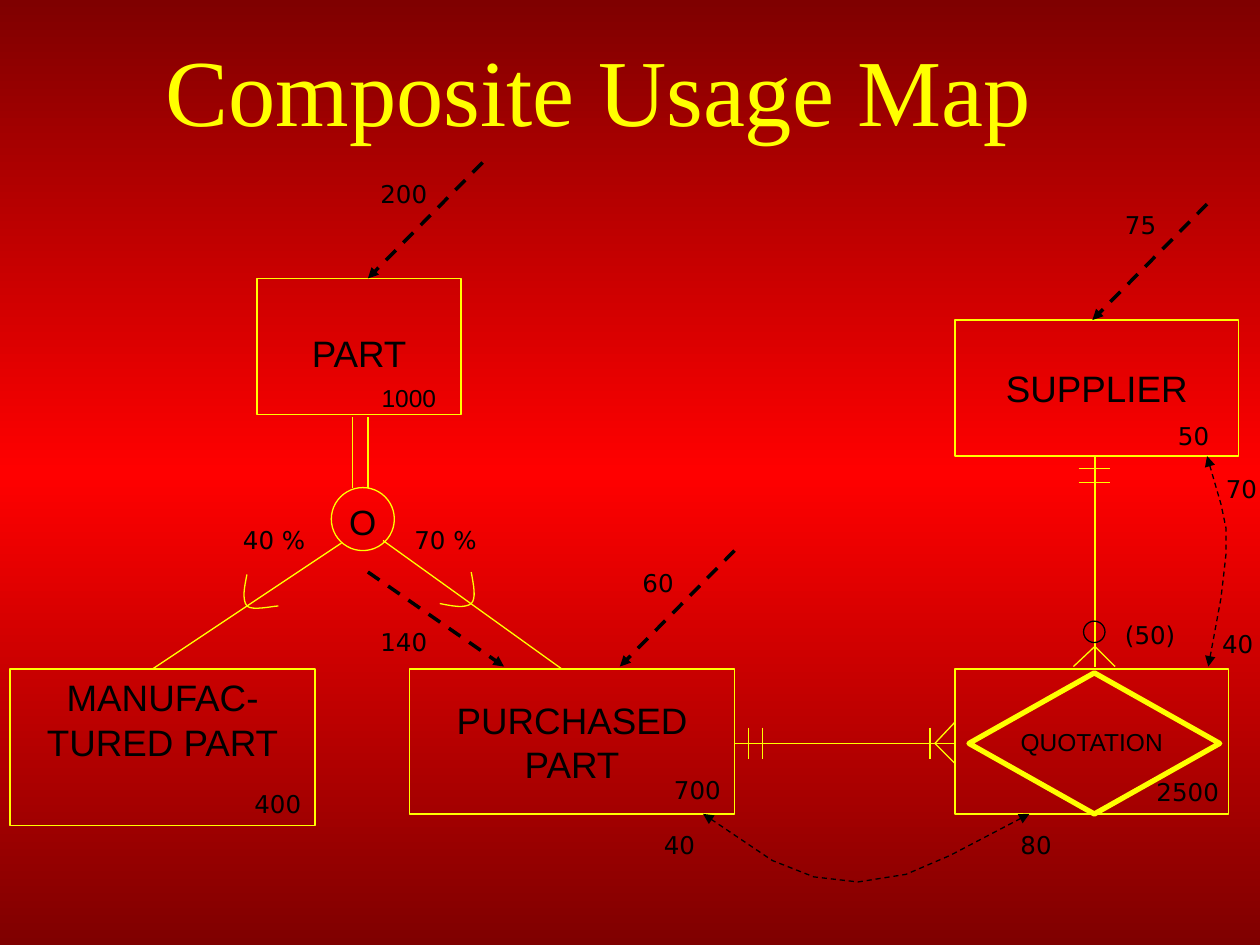
import copy
from dataclasses import dataclass

import pptx
import pptx.dml.color
import pptx.enum.dml
import pptx.enum.shapes
import pptx.enum.text
import pptx.oxml
import pptx.oxml.ns
import pptx.util

YELLOW, BLACK, RED, MAROON = "FFFF00", "000000", "FF0000", "7F0000"
COLUMNS, ROWS = 100, 75
KINDS = pptx.enum.shapes.MSO_SHAPE
ALIGN = pptx.enum.text.PP_ALIGN
ANCHOR = pptx.enum.text.MSO_ANCHOR
Point = tuple[float, float]

deck = pptx.Presentation()
deck.slide_width = pptx.util.Inches(10)
deck.slide_height = pptx.util.Inches(7.5)
page = deck.slides.add_slide(deck.slide_layouts[6])


@dataclass
class Stroke:
    color: str = YELLOW
    width: float = 0.75
    dashed: bool = False
    ends: tuple[str, ...] = ()


@dataclass
class Area:
    left: float
    top: float
    width: float
    height: float


@dataclass
class Entity:
    name: str
    area: Area
    anchor: ANCHOR = ANCHOR.MIDDLE
    top_inset: float = 0.5


@dataclass
class Count:
    text: str
    left: float
    top: float
    font: str = "DejaVu Sans"


RELATION = Stroke()
ACCESS = Stroke(BLACK, 2, True, ("tailEnd",))
NAVIGATION = Stroke(BLACK, 0.75, True, ("headEnd", "tailEnd"))


def rgb(color: str) -> pptx.dml.color.RGBColor:
    return pptx.dml.color.RGBColor.from_string(color)


def col(value: float) -> int:
    return round(value * deck.slide_width / COLUMNS)


def row(value: float) -> int:
    return round(value * deck.slide_height / ROWS)


def place(area: Area) -> tuple[int, int, int, int]:
    return col(area.left), row(area.top), col(area.width), row(area.height)


def apply_stroke(shape, stroke: Stroke) -> None:
    shape.line.color.rgb = rgb(stroke.color)
    shape.line.width = pptx.util.Pt(stroke.width)
    if stroke.dashed:
        shape.line.dash_style = pptx.enum.dml.MSO_LINE.DASH
    outline = shape._element.spPr.find(pptx.oxml.ns.qn("a:ln"))
    for end in stroke.ends:
        arrow = pptx.oxml.parse_xml(
            f'<a:{end} {pptx.oxml.ns.nsdecls("a")} type="triangle"/>')
        outline.append(arrow)


def draw_line(start: Point, end: Point, stroke: Stroke = RELATION) -> None:
    line = page.shapes.add_connector(
        pptx.enum.shapes.MSO_CONNECTOR.STRAIGHT,
        col(start[0]), row(start[1]), col(end[0]), row(end[1]))
    apply_stroke(line, stroke)
    line._element.spPr.append(pptx.oxml.parse_xml(
        f'<a:effectLst {pptx.oxml.ns.nsdecls("a")}/>'))


def draw_path(points: list[Point], stroke: Stroke = RELATION) -> None:
    corners = [(col(x), row(y)) for x, y in points]
    builder = page.shapes.build_freeform(*corners[0])
    builder.add_line_segments(corners[1:], close=False)
    outline = builder.convert_to_shape()
    outline.fill.background()
    outline.shadow.inherit = False
    apply_stroke(outline, stroke)


def curve(points: list[Point], steps: int = 8) -> list[Point]:
    """Sample joined cubic curves; every third point lies on the curve."""
    result = [points[0]]
    for first in range(0, len(points) - 1, 3):
        a, b, c, d = points[first:first + 4]
        for step in range(1, steps + 1):
            t = step / steps
            weights = (1 - t) ** 3, 3 * t * (1 - t) ** 2, 3 * t * t * (1 - t), t ** 3
            result.append(tuple(
                sum(w * p[axis] for w, p in zip(weights, (a, b, c, d)))
                for axis in (0, 1)))
    return result


def draw_shape(kind: KINDS, area: Area, stroke: Stroke = RELATION):
    shape = page.shapes.add_shape(kind, *place(area))
    shape.fill.background()
    shape.shadow.inherit = False
    apply_stroke(shape, stroke)
    return shape


def write(shape, text: str, size: float, font: str = "Arial", color: str = BLACK,
          align: ALIGN = ALIGN.CENTER, anchor: ANCHOR = ANCHOR.TOP) -> None:
    frame = shape.text_frame
    frame.word_wrap = True
    frame.vertical_anchor = anchor
    para = frame.paragraphs[0]
    para.text = text
    para.alignment = align
    para.font.size = pptx.util.Pt(size)
    para.font.name = font
    para.font.color.rgb = rgb(color)


def add_label(area: Area, text: str, size: float, **style) -> None:
    write(page.shapes.add_textbox(*place(area)), text, size, **style)


# Background: dark at both edges, bright in the middle
fill = page.background.fill
fill.gradient()
fill.gradient_angle = 90
stop_list = page._element.find(".//" + pptx.oxml.ns.qn("a:gsLst"))
stop_list.append(copy.deepcopy(stop_list[0]))
for stop, position, color in zip(fill.gradient_stops, (0, 0.5, 1), (MAROON, RED, MAROON)):
    stop.position = position
    stop.color.rgb = rgb(color)

add_label(Area(0, 0.8, 95, 12.5), "Composite Usage Map", 54,
          font="Times New Roman", color=YELLOW, anchor=ANCHOR.MIDDLE)

# Entities
for entity in (
    Entity("PART", Area(20.4, 22.1, 16.2, 10.8), top_inset=1.5),
    Entity("MANUFAC-TURED PART", Area(0.8, 53.1, 24.2, 12.4), ANCHOR.TOP),
    Entity("PURCHASED PART", Area(32.5, 53.1, 25.8, 11.5)),
    Entity("SUPPLIER", Area(75.8, 25.4, 22.5, 10.8)),
):
    box = draw_shape(KINDS.RECTANGLE, entity.area)
    box.text_frame.margin_top = row(entity.top_inset)
    write(box, entity.name, 21, anchor=entity.anchor)

# Associative entity
draw_shape(KINDS.RECTANGLE, Area(75.8, 53.1, 21.7, 11.5))
draw_shape(KINDS.DIAMOND, Area(76.9, 53.4, 19.9, 11.2), Stroke(width=3))
add_label(Area(75.8, 57.2, 21.7, 3.4), "QUOTATION", 14)

# Subtypes of PART
draw_shape(KINDS.OVAL, Area(26.3, 38.7, 5, 5))
add_label(Area(26.6, 39.2, 4.4, 4.4), "O", 20)
for x in (28, 29.2):
    draw_line((x, 33.1), (x, 38.7))
draw_line((27.1, 43.1), (12.1, 53.1))
draw_line((30.4, 42.9), (44.6, 53.1))
draw_path(curve([(19.6, 45.6), (19.4, 46.6), (19.2, 47.6), (19.6, 48.1),
                 (20, 48.5), (21.7, 48.1), (22.1, 48.1)]))
draw_path(curve([(37.4, 45.4), (37.6, 46.5), (37.8, 47.5), (37.4, 47.9),
                 (36.9, 48.3), (35.9, 48.1), (34.9, 47.9)]))

# PURCHASED PART to QUOTATION: two bars, then a bar and a crow's foot
draw_line((75.8, 59), (58.3, 59))
for y in (57.3, 60.6):
    draw_line((75.8, y), (74.2, 59))
for x in (59.4, 60.5, 73.8):
    draw_line((x, 57.75), (x, 60.25))

# SUPPLIER to QUOTATION: two bars, then a ring and a crow's foot
draw_line((86.9, 36.2), (86.9, 52.9))
for x in (85.2, 88.5):
    draw_line((x, 52.9), (86.9, 51.3))
for y in (37.2, 38.3):
    draw_line((85.6, y), (88.1, y))
draw_shape(KINDS.OVAL, Area(86, 49.3, 1.7, 1.7), Stroke(BLACK))

# Access arrows
for x, y in ((29.2, 22.1), (49.2, 52.9), (86.7, 25.4)):
    draw_line((x + 9.1, y - 9.2), (x, y), ACCESS)
draw_line((29.2, 45.4), (40, 52.9), ACCESS)

# Two-way navigation paths
draw_path([(95.8, 36.2), (96.9, 40), (97.3, 41.9), (97.3, 44), (97.1, 45.8),
           (96.9, 47.5), (95.9, 52.9)], NAVIGATION)
draw_path([(81.7, 64.6), (75.4, 67.9), (71.9, 69.4), (68.1, 70), (64.6, 69.6),
           (61.3, 68.3), (55.8, 64.6)], NAVIGATION)

# Volumes and access counts
for count in (
    Count("1000", 29.3, 29.9, "Arial"),
    Count("2500", 90.8, 61.2),
    Count("40 %", 18.3, 41.2),
    Count("70 %", 31.9, 41.2),
    Count("50", 92.5, 32.9),
    Count("140", 29.2, 49.3),
    Count("200", 29.2, 13.7),
    Count("60", 50, 44.6),
    Count("40", 51.7, 65.4),
    Count("80", 80, 65.4),
    Count("75", 88.3, 16.2),
    Count("(50)", 88.3, 48.7),
    Count("40", 96, 49.4),
    Count("70", 96.3, 37.1),
    Count("700", 52.5, 61),
    Count("400", 19.2, 62.1),
):
    add_label(Area(count.left, count.top, 7.5, 3.4), count.text, 14,
              font=count.font, align=ALIGN.LEFT)

deck.save("out.pptx")
